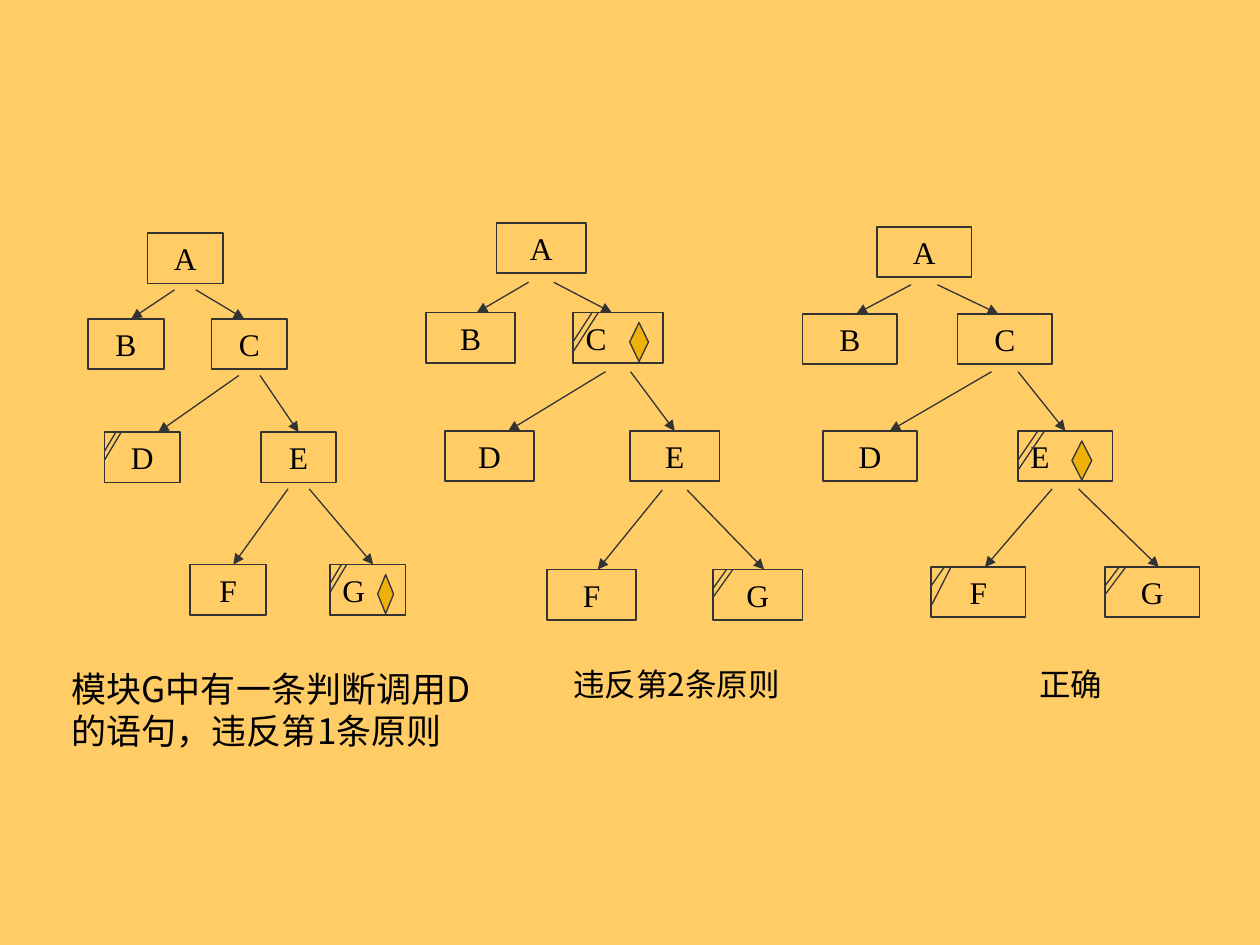
from dataclasses import dataclass

from lxml import etree
from pptx import Presentation
from pptx.dml.color import RGBColor
from pptx.enum.shapes import MSO_CONNECTOR, MSO_SHAPE
from pptx.enum.text import MSO_ANCHOR, PP_ALIGN
from pptx.oxml.ns import qn
from pptx.util import Inches, Pt

RECT, DIAMOND = MSO_SHAPE.RECTANGLE, MSO_SHAPE.DIAMOND
STRAIGHT = MSO_CONNECTOR.STRAIGHT
LEFT, CENTER = PP_ALIGN.LEFT, PP_ALIGN.CENTER
MIDDLE = MSO_ANCHOR.MIDDLE


@dataclass(frozen=True)
class Theme:
    bg = RGBColor.from_string("FFCC66")
    line = RGBColor.from_string("333333")
    text = RGBColor.from_string("000000")
    decision = RGBColor.from_string("EEB00B")
    latin = "Times New Roman"
    cjk = "Noto Sans CJK SC"
    node_size = 18
    note_size = 20
    box_line = 1
    thin_line = 0.75


THEME = Theme()
NODE_H = 0.4

# parent, child, side of the parent, landing offset as a share of node width
EDGES = [
    ("A", "B", -1, 0.07), ("A", "C", 1, -0.07),
    ("C", "D", -1, 0.21), ("C", "E", 1, 0),
    ("E", "F", -1, 0.07), ("E", "G", 1, 0.07),
]

# corner strokes: share of node width, drop in inches
SMALL = [(0.15, 0.15), (0.22, 0.22)]
LARGE = [(0.21, 0.23), (0.28, 0.31)]
STEEP = [(0.14, 0.15), (0.21, 0.31)]

TREES = [
    dict(width=0.6, gap=0.05, decision=("G", 0.63),
         hatches={"D": SMALL, "G": SMALL},
         nodes={"A": (1.17, 1.85), "B": (0.7, 2.53), "C": (1.68, 2.53),
                "D": (0.83, 3.43), "E": (2.07, 3.43),
                "F": (1.51, 4.48), "G": (2.62, 4.48)}),
    dict(width=0.71, gap=0.07, decision=("C", 0.63),
         hatches={"C": LARGE, "G": SMALL},
         nodes={"A": (3.94, 1.77), "B": (3.38, 2.48), "C": (4.55, 2.48),
                "D": (3.53, 3.42), "E": (5, 3.42),
                "F": (4.34, 4.52), "G": (5.66, 4.52)}),
    dict(width=0.75, gap=0.06, decision=("E", 0.57),
         hatches={"E": LARGE, "F": STEEP, "G": SMALL},
         nodes={"A": (6.96, 1.8), "B": (6.37, 2.49), "C": (7.6, 2.49),
                "D": (6.53, 3.42), "E": (8.08, 3.42),
                "F": (7.39, 4.5), "G": (8.77, 4.5)}),
]

CAPTIONS = [
    ((0.47, 5.25, 3.39, 0.77), "模块G中有一条判断调用D的语句，违反第1条原则",
     THEME.note_size, THEME.cjk),
    ((4.45, 5.23, 2.13, 0.4), "违反第2条原则", THEME.node_size, THEME.cjk),
    ((8.15, 5.23, 1.54, 0.4), "正确", THEME.node_size, THEME.latin),
]


def add_text(tf, text, size, font, align):
    tf.word_wrap = True
    p = tf.paragraphs[0]
    p.alignment = align
    r = p.add_run()
    r.text = text
    r.font.size = Pt(size)
    r.font.name = font
    r.font.color.rgb = THEME.text
    ea = etree.SubElement(r.font._element, qn("a:ea"))
    ea.set("typeface", THEME.cjk)


def add_line(shapes, x1, y1, x2, y2, arrow=False):
    cn = shapes.add_connector(STRAIGHT, *map(Inches, (x1, y1, x2, y2)))
    cn.line.color.rgb = THEME.line
    cn.line.width = Pt(THEME.thin_line)
    if arrow:
        ln = cn.line._get_or_add_ln()
        etree.SubElement(ln, qn("a:tailEnd")).set("type", "triangle")
    etree.SubElement(cn._element.spPr, qn("a:effectLst"))


def add_outlined(shapes, kind, box, weight):
    sp = shapes.add_shape(kind, *map(Inches, box))
    sp.shadow.inherit = False
    sp.fill.background()
    sp.line.color.rgb = THEME.line
    sp.line.width = Pt(weight)
    return sp


def add_node(shapes, box, label, align):
    sp = add_outlined(shapes, RECT, box, THEME.box_line)
    sp.text_frame.vertical_anchor = MIDDLE
    add_text(sp.text_frame, label, THEME.node_size, THEME.latin, align)


def add_decision(shapes, box, offset):
    x, y, w, _ = box
    sp = add_outlined(shapes, DIAMOND, (x + offset * w, y + 0.08, 0.21 * w, 0.31),
                      THEME.thin_line)
    sp.fill.solid()
    sp.fill.fore_color.rgb = THEME.decision


def add_hatch(shapes, box, strokes):
    x, y, w, _ = box
    for share, drop in strokes:
        add_line(shapes, x + share * w, y, x, y + drop)


def add_tree(slide, width, gap, decision, hatches, nodes):
    shapes = slide.shapes.add_group_shape().shapes
    boxes = {name: (x, y, width, NODE_H) for name, (x, y) in nodes.items()}
    owner, offset = decision
    for name, box in boxes.items():
        add_node(shapes, box, name, LEFT if name == owner else CENTER)
    add_decision(shapes, boxes[owner], offset)
    for name, strokes in hatches.items():
        add_hatch(shapes, boxes[name], strokes)
    for parent, child, side, landing in EDGES:
        px, py = nodes[parent]
        cx, cy = nodes[child]
        add_line(shapes, px + (0.5 + side * 0.14) * width, py + NODE_H + gap,
                 cx + (0.5 + landing) * width, cy, arrow=True)


def add_caption(slide, box, text, size, font):
    tb = slide.shapes.add_textbox(*map(Inches, box))
    add_text(tb.text_frame, text, size, font, LEFT)


def main():
    prs = Presentation()
    prs.slide_width, prs.slide_height = Inches(10), Inches(7.5)
    s = prs.slides.add_slide(prs.slide_layouts[6])
    s.background.fill.solid()
    s.background.fill.fore_color.rgb = THEME.bg
    for tree in TREES:
        add_tree(s, **tree)
    for caption in CAPTIONS:
        add_caption(s, *caption)
    prs.save("out.pptx")


if __name__ == "__main__":
    main()
